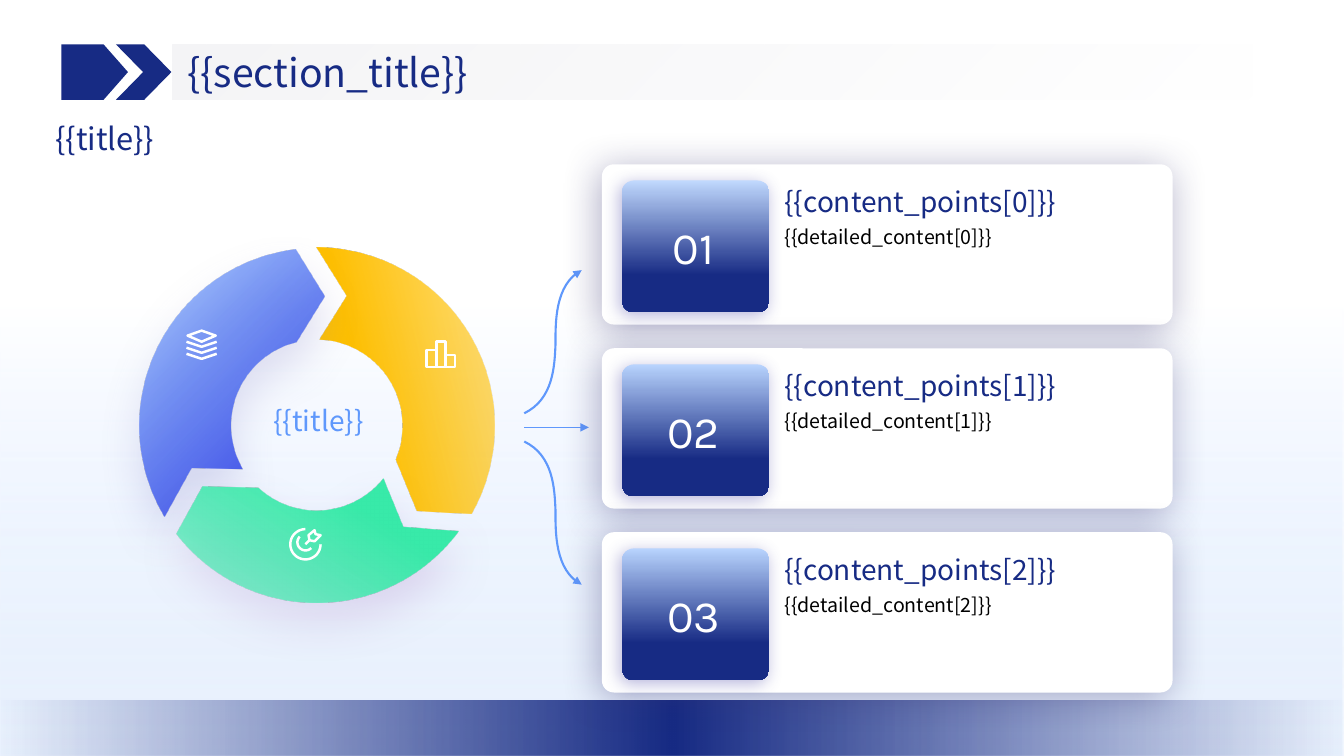
from math import cos, radians, sin

from lxml import etree
from pptx import Presentation
from pptx.dml.color import RGBColor
from pptx.enum.shapes import MSO_CONNECTOR, MSO_SHAPE
from pptx.enum.text import MSO_ANCHOR, MSO_AUTO_SIZE, PP_ALIGN
from pptx.oxml.ns import qn
from pptx.util import Inches, Pt

RECT, ROUNDED = MSO_SHAPE.RECTANGLE, MSO_SHAPE.ROUNDED_RECTANGLE
PENTAGON, CHEVRON = MSO_SHAPE.PENTAGON, MSO_SHAPE.CHEVRON
PARALLELOGRAM = MSO_SHAPE.PARALLELOGRAM
STRAIGHT = MSO_CONNECTOR.STRAIGHT
LEFT, CENTER = PP_ALIGN.LEFT, PP_ALIGN.CENTER
TOP, MIDDLE = MSO_ANCHOR.TOP, MSO_ANCHOR.MIDDLE
GROW = MSO_AUTO_SIZE.SHAPE_TO_FIT_TEXT

SANS, NUMERAL_FONT = "Noto Sans CJK SC", "Karla"
NAVY, SKY, WHITE, BLACK = "172B84", "5F98FC", "FFFFFF", "000000"


def rgb(value):
    return RGBColor.from_string(value)


def add_color(parent, value, alpha):
    color = etree.SubElement(parent, qn("a:srgbClr"), val=value)
    etree.SubElement(color, qn("a:alpha"), val=str(alpha * 1000))


def paint(shape, fill=None, angle=0, shadow=None):
    """Fill with a hex colour or (position, colour, alpha) stops; shadow is colour, alpha, blur, distance, angle."""
    shape.line.fill.background()
    shape.shadow.inherit = False
    if isinstance(fill, str):
        shape.fill.solid()
        shape.fill.fore_color.rgb = rgb(fill)
    else:
        shape.fill.background()
    properties = shape._element.spPr
    if isinstance(fill, list):
        gradient = etree.Element(qn("a:gradFill"), rotWithShape="1")
        stops = etree.SubElement(gradient, qn("a:gsLst"))
        for position, color, alpha in fill:
            add_color(etree.SubElement(stops, qn("a:gs"), pos=str(position * 1000)), color, alpha)
        etree.SubElement(gradient, qn("a:lin"), ang=str(angle * 60000), scaled="0")
        properties.replace(properties.find(qn("a:noFill")), gradient)
    if shadow:
        color, alpha, blur, distance, direction = shadow
        outer = etree.SubElement(
            properties.find(qn("a:effectLst")), qn("a:outerShdw"), blurRad=str(Pt(blur)),
            dist=str(Pt(distance)), dir=str(direction * 60000), algn="ctr", rotWithShape="0")
        add_color(outer, color, alpha)


def add_block(slide, kind, x, y, w, h, fill, adjust=None, **look):
    shape = slide.shapes.add_shape(kind, Inches(x), Inches(y), Inches(w), Inches(h))
    if adjust is not None:
        shape.adjustments[0] = adjust
    paint(shape, fill, **look)


def add_text(slide, text, x, y, w, h, size, color, font=SANS, align=LEFT,
             anchor=TOP, inset=(0, 0), wrap=True):
    frame = slide.shapes.add_textbox(Inches(x), Inches(y), Inches(w), Inches(h)).text_frame
    frame.word_wrap, frame.auto_size, frame.vertical_anchor = wrap, GROW, anchor
    frame.margin_left = frame.margin_right = Inches(inset[0])
    frame.margin_top = frame.margin_bottom = Inches(inset[1])
    paragraph = frame.paragraphs[0]
    paragraph.alignment = align
    run = paragraph.add_run()
    run.text = text
    run.font.size, run.font.name, run.font.color.rgb = Pt(size), font, rgb(color)
    run_properties = run.font._element
    etree.SubElement(run_properties, qn("a:ea"), typeface=font)


def add_outline(slide, points, close=True):
    corners = [(Inches(x), Inches(y)) for x, y in points]
    builder = slide.shapes.build_freeform(*corners[0], scale=1.0)
    builder.add_line_segments(corners[1:], close=close)
    return builder.convert_to_shape()


def set_line(shape, color, width, arrow=False):
    shape.line.color.rgb, shape.line.width = rgb(color), Pt(width)
    if arrow:
        etree.SubElement(shape.line._get_or_add_ln(), qn("a:tailEnd"), type="triangle")


def add_stroke(slide, points, color, width, close=False, arrow=False):
    shape = add_outline(slide, points, close)
    paint(shape)
    set_line(shape, color, width, arrow)


def arc(cx, cy, radius, start, end, steps=40):
    angles = [radians(start + (end - start) * i / steps) for i in range(steps + 1)]
    return [(cx + radius * cos(a), cy + radius * sin(a)) for a in angles]


def bezier(p0, p1, p2, p3, steps=16):
    return [tuple((1 - t) ** 3 * a + 3 * (1 - t) ** 2 * t * b + 3 * (1 - t) * t * t * c + t ** 3 * d
                  for a, b, c, d in zip(p0, p1, p2, p3))
            for t in (i / steps for i in range(steps + 1))]


def add_backdrop(slide, w, h):
    add_block(slide, RECT, 0, 0, w, h, [(0, WHITE, 100), (40, WHITE, 100), (100, "D3E4FE", 50)], angle=90)
    add_block(slide, PARALLELOGRAM, 0, h - 0.55, w, 0.55,
              [(0, NAVY, 0), (50, NAVY, 100), (100, NAVY, 0)], adjust=0)


def add_header(slide, x, y, h):
    add_block(slide, PENTAGON, x, y, 0.66, h, NAVY, adjust=0.44)
    add_block(slide, CHEVRON, x + 0.54, y, 0.55, h, NAVY, adjust=0.49)
    add_block(slide, RECT, x + 1.1, y, 10.71, h, [(0, "F5F5F7", 100), (100, "F6F7F7", 0)], angle=45)
    add_text(slide, "{{section_title}}", x + 1.25, y + 0.04, 8.1, 0.47, 28, NAVY, anchor=MIDDLE)


def add_arrows(slide, x, y):
    """Straight arrow with one curve bending up and its mirror image bending down."""
    straight = slide.shapes.add_connector(STRAIGHT, Inches(x), Inches(y), Inches(x + 0.64), Inches(y))
    set_line(straight, SKY, 1, arrow=True)
    etree.SubElement(straight._element.spPr, qn("a:effectLst"))
    bend = bezier((0, 0.14), (0.29, 0.28), (0.3, 0.61), (0.31, 0.82))
    bend += bezier((0.31, 0.82), (0.31, 1.03), (0.3, 1.42), (0.57, 1.56))[1:]
    for side in (-1, 1):
        add_stroke(slide, [(x + dx, y + side * dy) for dx, dy in bend], SKY, 1.5, arrow=True)


# outer arc, head tip, inner arc, tail notch, inner colour, edge colour, gradient angle, shadow colour
RING = [
    ((-90, 29.6), (0.99, 0.84), (23, -88), (0.3, -1.28), "FFC000", "FFC000", 347, None),
    ((149, 263.2), (0.08, -1.28), (256.3, 149.5), (-1.24, 0.42), "4E61EB", SKY, 225, "8784C7"),
    ((36.7, 142.2), (-1.13, 0.61), (132.6, 38.8), (0.86, 1.01), "38EAA9", "38EAA9", 122, "AD84C6"),
]


def add_ring(slide, cx, cy):
    for outer, head, inner, notch, core, edge, angle, shade in RING:
        points = arc(cx, cy, 1.76, *outer) + [(cx + head[0], cy + head[1])]
        points += arc(cx, cy, 0.85, *inner) + [(cx + notch[0], cy + notch[1])]
        paint(add_outline(slide, points), [(30, core, 100), (100, edge, 50)], angle,
              (shade, 30, 30, 15, 90) if shade else None)
    add_layers_icon(slide, cx - 1.14, cy - 0.8)
    add_bars_icon(slide, cx + 1.09, cy - 0.58)
    add_target_icon(slide, cx - 0.11, cy + 1.18)
    add_text(slide, "{{title}}", cx - 0.57, cy - 0.27, 1.18, 0.43, 20, SKY,
             align=CENTER, inset=(0.1, 0.05), wrap=False)


def add_icon_stroke(slide, cx, cy, offsets, close=False):
    add_stroke(slide, [(cx + dx, cy + dy) for dx, dy in offsets], WHITE, 1.75, close)


def add_layers_icon(slide, cx, cy):
    add_icon_stroke(slide, cx, cy, [(-0.14, -0.09), (0, -0.14), (0.14, -0.09), (0, -0.03)], close=True)
    for layer in range(3):
        y = -0.03 + 0.06 * layer
        add_icon_stroke(slide, cx, cy, [(-0.15, y), (0, y + 0.05), (0.15, y)])


def add_bars_icon(slide, x, base):
    for left, right, height in ((0, 0.1, 0.17), (0.1, 0.19, 0.25), (0.19, 0.28, 0.12)):
        add_icon_stroke(slide, x, base, [(left, 0), (left, -height), (right, -height), (right, 0)], close=True)


def add_target_icon(slide, cx, cy):
    add_icon_stroke(slide, cx, cy, arc(0, 0, 0.15, 0, 270))
    add_icon_stroke(slide, cx, cy, arc(0, -0.02, 0.08, 45, 225))
    dart = [(0.03, -0.09), (0.09, -0.14), (0.1, -0.1), (0.15, -0.09), (0.09, -0.03), (0.04, -0.04)]
    add_icon_stroke(slide, cx, cy, dart, close=True)
    add_icon_stroke(slide, cx, cy, [(0.04, -0.04), (0, 0)])


def add_card(slide, x, y, index, badge_top):
    add_block(slide, ROUNDED, x, y, 5.66, 1.59, WHITE, adjust=0.075, shadow=("373472", 40, 28, 4, 130))
    add_block(slide, ROUNDED, x + 0.2, y + 0.16, 1.46, 1.31, [(0, badge_top, 100), (72, NAVY, 100)],
              adjust=0.09, angle=90, shadow=("524EAB", 40, 12, 3, 135))
    add_text(slide, f"{{{{content_points[{index}]}}}}", x + 1.81, y + 0.2, 3.65, 0.34, 20, NAVY)
    add_text(slide, f"{{{{detailed_content[{index}]}}}}", x + 1.81, y + 0.6, 3.65, 0.24, 14, BLACK)
    add_text(slide, f"{index + 1:02}", x + 0.28, y + 0.55, 1.26, 0.54, 32, WHITE,
             font=NUMERAL_FONT, align=CENTER)


def main():
    deck = Presentation()
    deck.slide_width, deck.slide_height = Inches(13.33), Inches(7.5)
    slide = deck.slides.add_slide(deck.slide_layouts[6])
    add_backdrop(slide, 13.33, 7.5)
    add_header(slide, 0.61, 0.44, 0.55)
    add_arrows(slide, 5.2, 4.24)
    add_ring(slide, 3.14, 4.22)
    for index, badge_top in enumerate(("C0D8FD", "B8D3FD", "B8D3FD")):
        add_card(slide, 5.97, 1.63 + 1.825 * index, index, badge_top)
    add_text(slide, "{{title}}", 0.45, 1.14, 11.99, 0.47, 22, NAVY, inset=(0.1, 0.05))
    deck.save("out.pptx")


if __name__ == "__main__":
    main()
